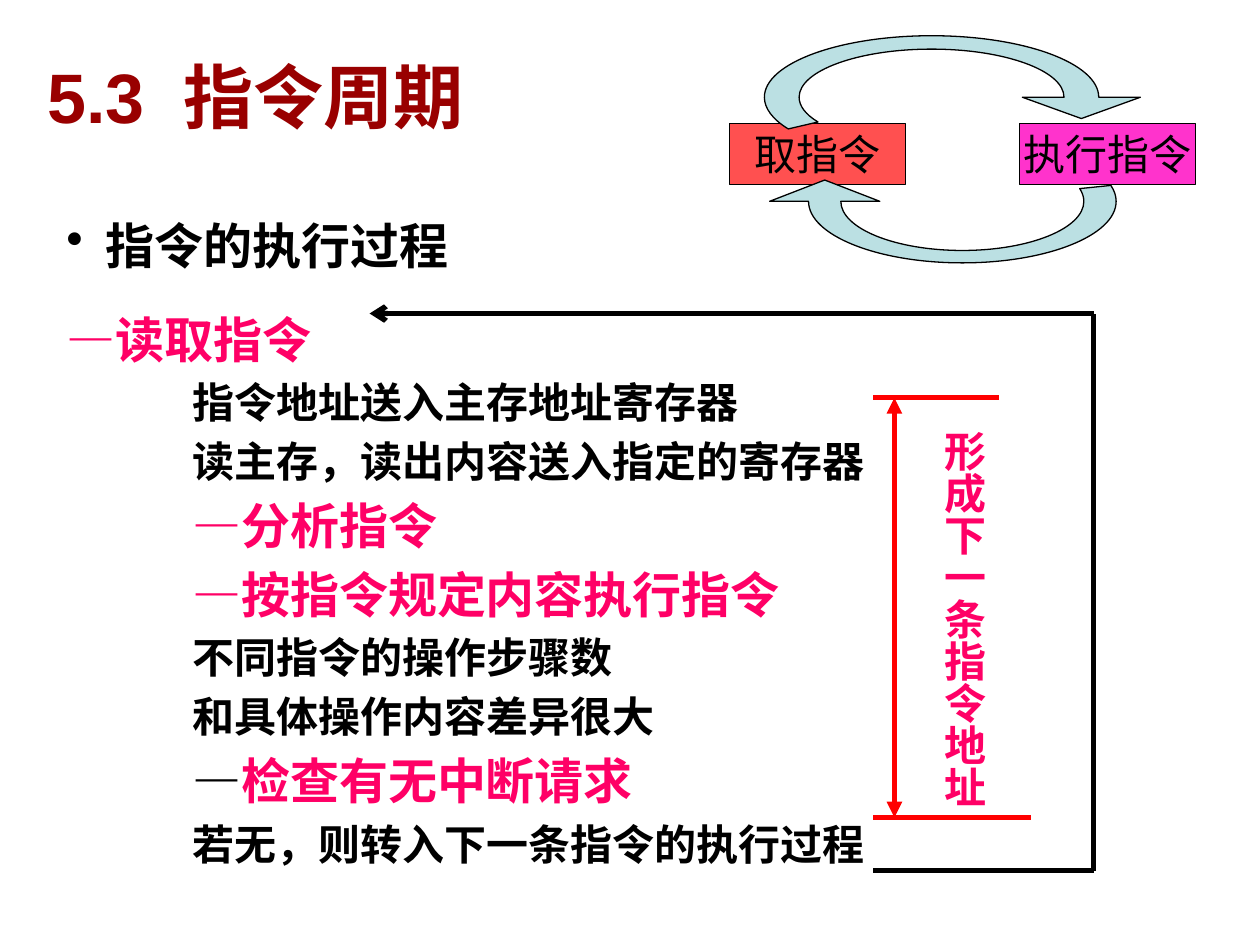
from dataclasses import dataclass
from math import cos, pi, radians, sin, tan

from lxml.etree import SubElement
from pptx import Presentation
from pptx.dml.color import RGBColor as Rgb
from pptx.enum.shapes import MSO_CONNECTOR as Link, MSO_SHAPE as Kind
from pptx.enum.text import MSO_ANCHOR as Anchor, PP_ALIGN as Align
from pptx.oxml.ns import qn
from pptx.util import Cm, Pt


@dataclass(frozen=True)
class Theme:
    title: str = "990000"
    ink: str = "000000"
    pink: str = "FF0066"
    red: str = "FF0000"
    fetch: str = "FF5050"
    run: str = "FF33CC"
    arc: str = "BBE0E3"
    sans: str = "Arial"
    serif: str = "Times New Roman"
    plain: str = "Roboto"
    huge: int = 40
    big: int = 28
    mid: int = 24
    thin: float = 0.75
    thick: float = 3


T = Theme()


@dataclass(frozen=True)
class Box:
    x: float
    y: float
    w: float
    h: float

    def emu(self) -> list:
        return [Cm(v) for v in (self.x, self.y, self.w, self.h)]


@dataclass(frozen=True)
class Step:
    text: str
    head: bool = False
    left: float = 2.54
    dash: str = ""


@dataclass(frozen=True)
class Node:
    text: str
    x: float
    fill: str


@dataclass(frozen=True)
class Rule:
    start: tuple
    end: tuple
    color: str = T.ink
    head: str = ""
    tail: str = ""


@dataclass(frozen=True)
class Arc:
    """Curved arrow on two ellipses; turn -1 rotates it by half a circle."""
    mid: tuple
    outer: tuple
    inner: tuple
    wing: float
    over: int
    turn: int = 1


STEPS = [
    Step("—读取指令", True, 0),
    Step("指令地址送入主存地址寄存器"),
    Step("读主存，读出内容送入指定的寄存器"),
    Step("—分析指令", True),
    Step("—按指令规定内容执行指令", True),
    Step("不同指令的操作步骤数"),
    Step("和具体操作内容差异很大"),
    Step("检查有无中断请求", True, dash="—"),
    Step("若无，则转入下一条指令的执行过程"),
]
NODES = [Node("取指令", 14.7, T.fetch), Node("执行指令", 20.55, T.run)]
LEFT, RIGHT, SPAN = 17.6, 22.05, 18.03
TOP, LOW, BACK, BASE = 8.02, 16.48, 6.32, 17.55
RULES = [
    Rule((LEFT, BASE), (RIGHT, BASE)),
    Rule((RIGHT, BASE), (RIGHT, BACK)),
    Rule((RIGHT, BACK), (7.45, BACK), tail="arrow"),
    Rule((LEFT, TOP), (20.14, TOP), T.red),
    Rule((LEFT, LOW), (20.78, LOW), T.red),
    Rule((SPAN, TOP), (SPAN, LOW), T.red, "triangle", "triangle"),
]
ARCS = [
    Arc((18.78, 1.96), (3.37, 1.24), (2.67, 0.97), 1.19, 31),
    Arc((19.4, 4.06), (3.1, 1.24), (2.45, 0.99), 1.11, 15, -1),
]


def write(para, text: str, *, size: float, color: str = T.ink,
          face: str = T.sans, bold: bool = True, align=Align.LEFT,
          before: float = 0) -> None:
    run = para.add_run()
    run.text = text
    font = run.font
    font.size, font.name, font.bold = Pt(size), face, bold
    font.color.rgb = Rgb.from_string(color)
    para.alignment = align
    para.space_before = Pt(before)


def add_box(slide, box: Box, wrap: bool = True):
    frame = slide.shapes.add_textbox(*box.emu()).text_frame
    frame.word_wrap = wrap
    return frame


def indent(para, left: float, first: float = 0) -> None:
    props = para._p.get_or_add_pPr()
    props.set("marL", str(Cm(left)))
    props.set("indent", str(Cm(first)))


def add_title(slide) -> None:
    title = slide.shapes.title
    title.left, title.top, title.width, title.height = Box(0.7, 0.72, 22.8, 2.41).emu()
    frame = title.text_frame
    frame.vertical_anchor = Anchor.MIDDLE
    write(frame.paragraphs[0], "5.3  指令周期", size=T.huge, color=T.title)


def add_steps(slide) -> None:
    frame = add_box(slide, Box(1.09, 6.12, 16.71, 12.12))
    for i, step in enumerate(STEPS):
        para = frame.add_paragraph() if i else frame.paragraphs[0]
        indent(para, step.left)
        size = T.big if step.head else T.mid
        style = dict(size=size, before=size * 0.2 if i else 0)
        if step.dash:
            write(para, step.dash, **style)
        write(para, step.text, color=T.pink if step.head else T.ink, **style)


def add_topic(slide) -> None:
    para = add_box(slide, Box(1.09, 4.21, 13.34, 1.45)).paragraphs[0]
    indent(para, 0.57, -0.57)
    SubElement(para._p.get_or_add_pPr(), qn("a:buChar")).set("char", "•")
    write(para, " 指令的执行过程", size=T.big, face=T.plain)


def add_label(slide) -> None:
    frame = add_box(slide, Box(18.67, 8.43, 1.52, 7.92), wrap=False)
    frame._txBody.bodyPr.set("vert", "eaVert")
    frame.vertical_anchor = Anchor.MIDDLE
    write(frame.paragraphs[0], "形成下一条指令地址", size=T.mid, color=T.pink,
          face=T.serif, align=Align.CENTER)


def add_rule(slide, rule: Rule) -> None:
    ends = [Cm(v) for v in rule.start + rule.end]
    link = slide.shapes.add_connector(Link.STRAIGHT, *ends)
    link.line.width = Pt(T.thick)
    link.line.color.rgb = Rgb.from_string(rule.color)
    line = link.line._get_or_add_ln()
    for tag, kind in (("a:headEnd", rule.head), ("a:tailEnd", rule.tail)):
        if kind:
            SubElement(line, qn(tag)).set("type", kind)
    SubElement(link._element.spPr, qn("a:effectLst"))


def paint(shape, color: str) -> None:
    shape.shadow.inherit = False
    shape.fill.solid()
    shape.fill.fore_color.rgb = Rgb.from_string(color)
    shape.line.color.rgb = Rgb.from_string(T.ink)
    shape.line.width = Pt(T.thin)


def add_node(group, node: Node) -> None:
    shape = group.shapes.add_shape(Kind.RECTANGLE, *Box(node.x, 2.49, 3.55, 1.23).emu())
    paint(shape, node.fill)
    frame = shape.text_frame
    frame.word_wrap = False
    frame.vertical_anchor = Anchor.MIDDLE
    write(frame.paragraphs[0], node.text, size=T.mid, face=T.serif,
          bold=False, align=Align.CENTER)


def curve(radii: tuple, stops: list) -> list:
    """Points of joined cubic curves: a start, then three for each stop."""
    def spot(a: float, k: float = 0) -> tuple:
        return (radii[0] * (cos(a) - k * sin(a)), -radii[1] * (sin(a) + k * cos(a)))

    points = [spot(stops[0])]
    for a, b in zip(stops, stops[1:]):
        k = 4 / 3 * tan((b - a) / 4)
        points += [spot(a, k), spot(b, -k), spot(b)]
    return points


def bend(shape, first: int, count: int) -> None:
    """Turn each three line segments from first on into one cubic curve."""
    trail = shape._element.spPr.find(".//" + qn("a:path"))
    lines = list(trail)[first:first + 3 * count]
    for i in range(0, len(lines), 3):
        cubic = lines[i]
        cubic.tag = qn("a:cubicBezTo")
        for line in lines[i + 1:i + 3]:
            cubic.append(line[0])
            trail.remove(line)


def add_arc(group, arc: Arc) -> None:
    stops = [0, pi / 2, pi, pi + radians(arc.over)]
    tip = (arc.outer[0] + arc.inner[0]) / 2
    head = [(tip + arc.wing, 0), (tip, 0.43), (tip - arc.wing, 0)]
    marks = curve(arc.inner, stops) + curve(arc.outer, stops[::-1]) + head
    points = [(Cm(arc.mid[0] + arc.turn * x), Cm(arc.mid[1] + arc.turn * y))
              for x, y in marks]
    pen = group.shapes.build_freeform(*points[0])
    pen.add_line_segments(points[1:], close=True)
    shape = pen.convert_to_shape()
    bends = len(stops) - 1
    bend(shape, 3 * bends + 2, bends)
    bend(shape, 1, bends)
    paint(shape, T.arc)


def main() -> None:
    deck = Presentation()
    deck.slide_width, deck.slide_height = Cm(25.4), Cm(19.05)
    slide = deck.slides.add_slide(deck.slide_layouts[5])
    add_title(slide)
    add_steps(slide)
    add_label(slide)
    for rule in RULES:
        add_rule(slide, rule)
    add_topic(slide)
    cycle = slide.shapes.add_group_shape()
    for node in NODES:
        add_node(cycle, node)
    for arc in ARCS:
        add_arc(cycle, arc)
    deck.save("out.pptx")


if __name__ == "__main__":
    main()
